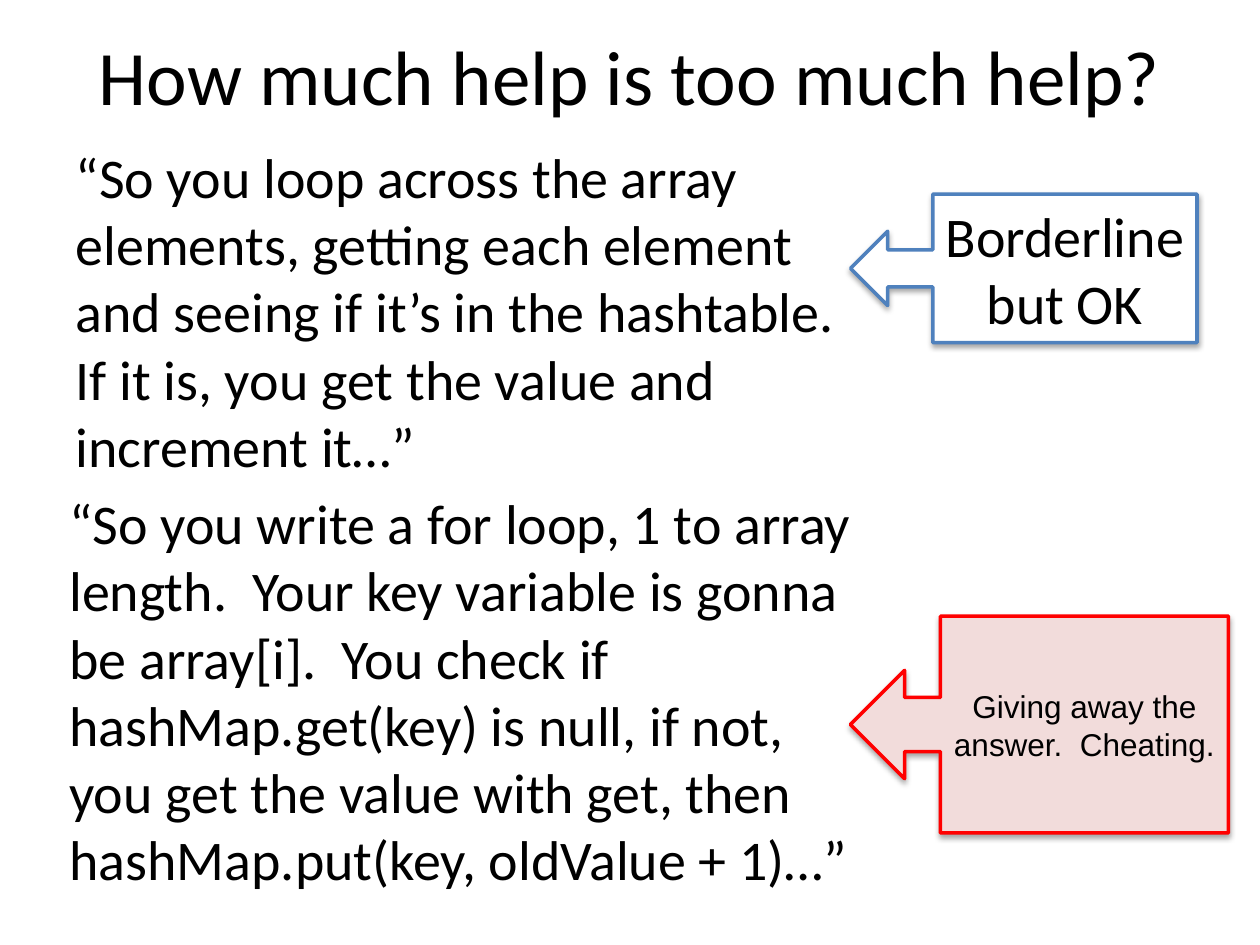
from lxml import etree
from pptx import Presentation
from pptx.dml.color import RGBColor
from pptx.enum.shapes import MSO_SHAPE as Shape
from pptx.enum.text import MSO_ANCHOR as Anchor, MSO_AUTO_SIZE as AutoSize, PP_ALIGN as Align
from pptx.oxml.ns import qn
from pptx.util import Pt

COLORS = {
    "text": "000000",
    "ok_fill": "FFFFFF",
    "ok_line": "4F81BD",
    "cheat_fill": "F2DCDB",
    "cheat_line": "FF0000",
}
CALLOUT_ADJUSTMENTS = (0.25, 0.25, 0.25, 0.762)
TIGHT_INSET = 3.6


def color(key):
    return RGBColor.from_string(COLORS[key])


class SlideBuilder:
    """Holds the text style and the current slide."""

    def __init__(self, slide, font="Calibri", size=32):
        self.slide, self.font, self.size = slide, font, size

    def place(self, item, box):
        for side, value in zip(("left", "top", "width", "height"), box):
            setattr(item, side, Pt(value))

    def set_text(self, item, text, align=Align.LEFT, anchor=Anchor.TOP,
                 inset=None, plain=False, **font_format):
        frame = item.text_frame
        frame_format = {"word_wrap": True, "auto_size": AutoSize.NONE,
                        "vertical_anchor": anchor}
        if inset is not None:
            for side in ("left", "top", "right", "bottom"):
                frame_format[f"margin_{side}"] = Pt(inset)
        for key, value in frame_format.items():
            setattr(frame, key, value)
        frame.text = text
        paragraph = frame.paragraphs[0]
        paragraph.alignment = align
        paragraph.space_before = Pt(0)
        if plain:  # no bullet, no hanging indent
            properties = paragraph._p.get_or_add_pPr()
            properties.set("marL", "0")
            properties.set("indent", "0")
            etree.SubElement(properties, qn("a:buNone"))
        font = paragraph.runs[0].font
        style = {"name": self.font, "size": Pt(self.size)} | font_format
        for key, value in style.items():
            setattr(font, key, value)
        font.color.rgb = color("text")

    def title(self, text, box):
        title = self.slide.shapes.title
        self.place(title, box)
        self.set_text(title, text, Align.CENTER, Anchor.MIDDLE, size=Pt(44))

    def body(self, text, box):
        body = self.slide.placeholders[1]
        self.place(body, box)
        self.set_text(body, text, plain=True)

    def quote(self, text, box):
        quote = self.slide.shapes.add_textbox(*map(Pt, box))
        self.set_text(quote, text, inset=TIGHT_INSET)

    def callout(self, text, box, kind, **font_format):
        callout = self.slide.shapes.add_shape(Shape.LEFT_ARROW_CALLOUT, *map(Pt, box))
        for index, value in enumerate(CALLOUT_ADJUSTMENTS):
            callout.adjustments[index] = value
        callout.fill.solid()
        callout.fill.fore_color.rgb = color(f"{kind}_fill")
        callout.line.color.rgb = color(f"{kind}_line")
        callout.line.width = Pt(2)
        self.soft_shadow(callout)
        self.set_text(callout, text, Align.CENTER, Anchor.MIDDLE, TIGHT_INSET, **font_format)

    def soft_shadow(self, item):
        item.shadow.inherit = False
        effects = item._element.spPr.find(qn("a:effectLst"))
        shadow = etree.SubElement(effects, qn("a:outerShdw"), blurRad=str(Pt(3)),
                                  dist=str(Pt(1.8)), dir="5400000", rotWithShape="0")
        tint = etree.SubElement(shadow, qn("a:srgbClr"), val=COLORS["text"])
        etree.SubElement(tint, qn("a:alpha"), val="35000")


def main():
    deck = Presentation()
    deck.slide_width, deck.slide_height = Pt(720), Pt(540)
    builder = SlideBuilder(deck.slides.add_slide(deck.slide_layouts[1]))

    # Heading
    builder.title("How much help is too much help?", (36, 7.2, 648, 70.56))

    # The two hints
    builder.body("“So you loop across the array elements, getting each element and "
                 "seeing if it’s in the hashtable.  If it is, you get the value and "
                 "increment it…”", (36, 77.76, 468, 198))
    builder.quote("“So you write a for loop, 1 to array length.  Your key variable is "
                  "gonna be array[i].  You check if hashMap.get(key) is null, if not,  "
                  "you get the value with get, then hashMap.put(key, oldValue + 1)…”",
                  (36, 275.76, 468, 275.76))

    # Verdicts pointing at the hints
    builder.callout("Borderline but OK", (486, 110.88, 198, 84.96), "ok")
    builder.callout("Giving away the answer.  Cheating.", (486, 352.08, 216, 123.84),
                    "cheat", name="Arial", size=Pt(18))

    deck.save("out.pptx")


if __name__ == "__main__":
    main()
